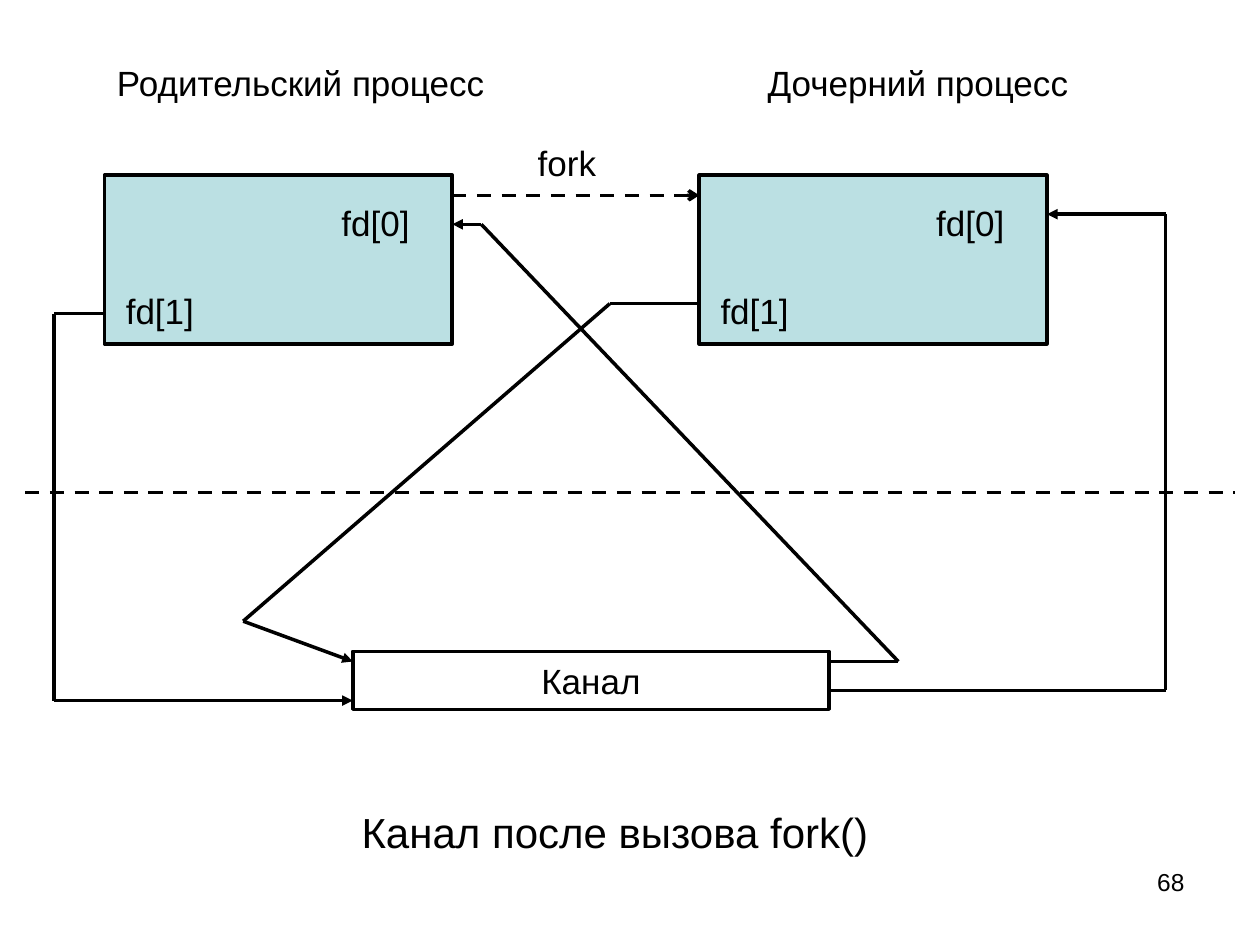
from itertools import pairwise

from lxml import etree
from pptx import Presentation
from pptx.dml.color import RGBColor
from pptx.enum.dml import MSO_LINE
from pptx.enum.shapes import MSO_CONNECTOR, MSO_SHAPE
from pptx.enum.text import MSO_ANCHOR, MSO_AUTO_SIZE, PP_ALIGN
from pptx.oxml.ns import qn
from pptx.util import Inches, Pt

LEFT, CENTER, RIGHT = PP_ALIGN.LEFT, PP_ALIGN.CENTER, PP_ALIGN.RIGHT
TOP, MIDDLE = MSO_ANCHOR.TOP, MSO_ANCHOR.MIDDLE
NO_AUTOFIT = MSO_AUTO_SIZE.NONE
DASH = MSO_LINE.DASH
STRAIGHT = MSO_CONNECTOR.STRAIGHT
RECTANGLE = MSO_SHAPE.RECTANGLE
FONT = "Arial"
BLACK, PROCESS_FILL = "000000", "BBE0E3"
LINE_WIDTH = Pt(2)
LABEL_HEIGHT = 0.43


def color(hex_code):
    return RGBColor.from_string(hex_code)


def write(shape, text, size=20, align=LEFT, anchor=TOP):
    frame = shape.text_frame
    frame.word_wrap = True
    frame.auto_size = NO_AUTOFIT
    frame.vertical_anchor = anchor
    frame.text = text
    para = frame.paragraphs[0]
    para.alignment = align
    font = para.runs[0].font
    font.name, font.size = FONT, Pt(size)
    font.color.rgb = color(BLACK)


def add_label(page, text, box, size=20, align=LEFT):
    label = page.shapes.add_textbox(*map(Inches, box))
    write(label, text, size, align)


def add_box(page, box, fill=None):
    shape = page.shapes.add_shape(RECTANGLE, *map(Inches, box))
    shape.shadow.inherit = False
    if fill:
        shape.fill.solid()
        shape.fill.fore_color.rgb = color(fill)
    else:
        shape.fill.background()
    shape.line.color.rgb = color(BLACK)
    shape.line.width = LINE_WIDTH
    return shape


def add_route(page, points, head=None, dash=None):
    """Join the points with straight lines; the last one may carry an arrowhead."""
    for start, end in pairwise(points):
        line = page.shapes.add_connector(STRAIGHT, *map(Inches, (*start, *end)))
        line.line.color.rgb = color(BLACK)
        line.line.width = LINE_WIDTH
        if dash:
            line.line.dash_style = dash
        etree.SubElement(line._element.spPr, qn("a:effectLst"))
    if head:
        outline = line.line._get_or_add_ln()
        etree.SubElement(outline, qn("a:tailEnd"), type=head)


def add_process(page, box):
    left, top, width, height = box
    add_box(page, box, PROCESS_FILL)
    add_label(page, "fd[1]", (left + 0.07, top + 0.86, 1.02, LABEL_HEIGHT))
    add_label(page, "fd[0]", (left + width - 1.26, top + 0.16, 1.02, LABEL_HEIGHT),
              align=RIGHT)


def add_fork(page, start, end, y):
    add_route(page, [(start, y), (end, y)], "arrow", DASH)
    add_label(page, "fork", (start + 0.32, y - 0.48, 1.18, LABEL_HEIGHT), align=CENTER)


def add_pipe_routes(page, parent, child, pipe):
    """Draw writes from each fd[1] into the pipe and reads from it to each fd[0]."""
    parent_left, top, width, _ = parent
    child_left = child[0]
    pipe_left, pipe_top, pipe_width, _ = pipe
    pipe_right = pipe_left + pipe_width
    near, far = pipe_top + 0.08, pipe_top + 0.39
    parent_write, child_write = top + 1.1, top + 1.02
    parent_read, child_read = top + 0.39, top + 0.31
    outer_left, outer_right = 0.43, 9.25
    exit_y = pipe_top + 0.31

    add_route(page, [(parent_left, parent_write), (outer_left, parent_write),
                     (outer_left, far), (pipe_left, far)], "triangle")
    add_route(page, [(child_left, child_write), (child_left - 0.71, child_write),
                     (1.93, 4.93), (pipe_left, near)], "triangle")
    add_route(page, [(pipe_right, exit_y), (outer_right, exit_y),
                     (outer_right, child_read), (child_left + width, child_read)],
              "triangle")
    add_route(page, [(pipe_right, near), (pipe_right + 0.55, near),
                     (parent_left + width + 0.23, parent_read),
                     (parent_left + width, parent_read)], "triangle")


def add_diagram(page):
    parent = (0.83, 1.39, 2.76, 1.34)
    child = (5.55, *parent[1:])
    pipe = (2.8, 5.17, 3.78, 0.46)
    add_label(page, "Родительский процесс", (0.83, 0.44, 3.39, LABEL_HEIGHT))
    add_label(page, "Дочерний процесс", (5.08, 0.44, 4.41, LABEL_HEIGHT), align=CENTER)
    for process in (parent, child):
        add_process(page, process)
    add_fork(page, parent[0] + parent[2], child[0], 1.55)
    write(add_box(page, pipe), "Канал", align=CENTER, anchor=MIDDLE)
    add_pipe_routes(page, parent, child, pipe)
    add_route(page, [(0.2, 3.91), (9.8, 3.91)], dash=DASH)


def place_title(page, text, box):
    title = page.shapes.title
    title.left, title.top, title.width, title.height = map(Inches, box)
    write(title, text, 24, CENTER)


def main():
    deck = Presentation()
    deck.slide_width, deck.slide_height = Inches(10), Inches(7.5)
    page = deck.slides.add_slide(deck.slide_layouts[5])
    place_title(page, "Канал после вызова fork()", (1.18, 6.35, 7.4, 0.5))
    add_diagram(page)
    add_label(page, "68", (7.17, 6.83, 2.33, 0.52), 14, RIGHT)
    deck.save("out.pptx")


if __name__ == "__main__":
    main()
